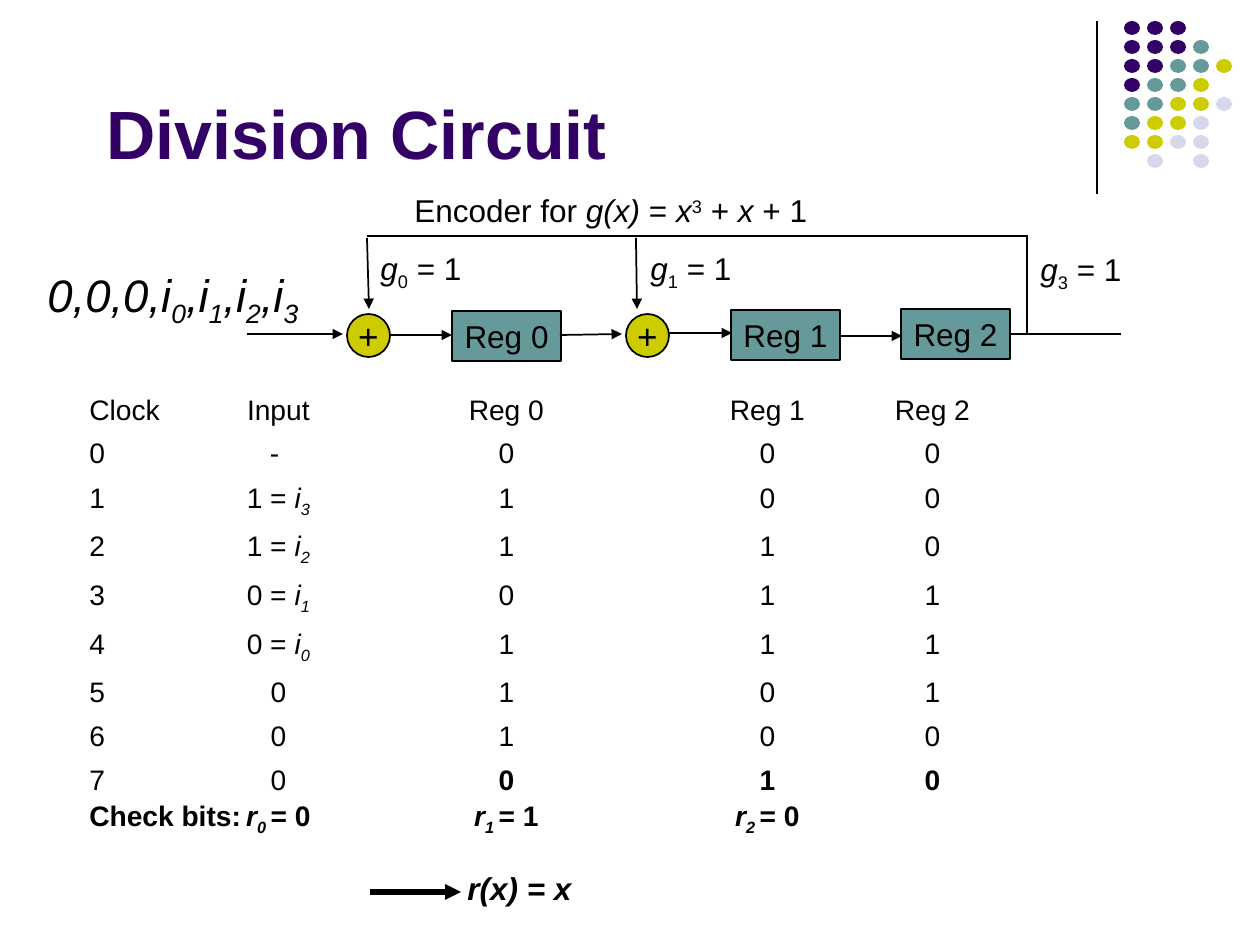
from typing import NamedTuple, Sequence

from lxml.etree import SubElement
from pptx import Presentation
from pptx.dml.color import RGBColor
from pptx.enum.shapes import MSO_CONNECTOR as Connector, MSO_SHAPE as Preset
from pptx.enum.text import MSO_ANCHOR as Anchor, PP_ALIGN as Align
from pptx.oxml.ns import qn
from pptx.util import Emu, Pt

PX_PER_INCH = 126
BLACK, PURPLE, TEAL, OLIVE, LILAC = "000000", "330066", "669999", "CCCC00", "D8D8EC"


class Run(NamedTuple):
    text: str
    italic: bool = False
    baseline: int = 0


class Box(NamedTuple):
    left: int
    top: int
    width: int
    height: int


class Wire(NamedTuple):
    x1: int
    y1: int
    x2: int
    y2: int
    arrow: bool = False
    weight: float = 1


class Part(NamedTuple):
    label: str
    preset: Preset
    box: Box
    fill: str
    size: int


class Row(NamedTuple):
    runs: Sequence[Run]
    bold: bool = False
    space: float = 4.8


def px(length: int) -> Emu:
    return Emu(round(length * 914400 / PX_PER_INCH))


def color(code: str) -> RGBColor:
    return RGBColor.from_string(code)


def indexed(letter: str, index: str, italic_index: bool = True) -> list[Run]:
    return [Run(letter, True), Run(index, italic_index, -25000)]


def write(paragraph, runs: Sequence[Run], size: float, bold: bool = False, ink: str = BLACK) -> None:
    font = paragraph.font
    font.name, font.size, font.bold = "Arial", Pt(size), bold
    font.color.rgb = color(ink)
    for part in runs:
        run = paragraph.add_run()
        run.text = part.text
        if part.italic:
            run.font.italic = True
        if part.baseline:
            run.font._element.set("baseline", str(part.baseline))


def add_frame(shapes, box: Box, wrap: bool = False):
    frame = shapes.add_textbox(*map(px, box)).text_frame
    frame.word_wrap = wrap
    return frame


def add_label(shapes, box: Box, runs: Sequence[Run], size: float, bold: bool = False) -> None:
    write(add_frame(shapes, box).paragraphs[0], runs, size, bold)


def add_wire(shapes, wire: Wire) -> None:
    line = shapes.add_connector(Connector.STRAIGHT, *map(px, wire[:4]))
    line.line.color.rgb = color(BLACK)
    line.line.width = Pt(wire.weight)
    if wire.arrow:
        SubElement(line.line._get_or_add_ln(), qn("a:tailEnd"), type="triangle")
    SubElement(line._element.spPr, qn("a:effectLst"))


def add_filled(shapes, preset: Preset, box: Box, fill: str):
    shape = shapes.add_shape(preset, *map(px, box))
    shape.shadow.inherit = False
    shape.fill.solid()
    shape.fill.fore_color.rgb = color(fill)
    shape.line.fill.background()
    return shape


def add_part(shapes, part: Part) -> None:
    shape = add_filled(shapes, part.preset, part.box, part.fill)
    shape.line.color.rgb = color(BLACK)
    shape.line.width = Pt(1)
    frame = shape.text_frame
    frame.word_wrap = False
    frame.vertical_anchor = Anchor.MIDDLE
    paragraph = frame.paragraphs[0]
    paragraph.alignment = Align.CENTER
    write(paragraph, [Run(part.label)], part.size)


def add_dots(shapes) -> None:
    fills = {"p": PURPLE, "t": TEAL, "o": OLIVE, "l": LILAC}
    pattern = ["ppp", "pppt", "pptto", "ptto", "ttool", "tool", "ooll", ".l.l"]
    for row, marks in enumerate(pattern):
        for column, mark in enumerate(marks):
            if mark in fills:
                box = Box(1124 + 23 * column, 21 + 19 * row, 16, 14)
                add_filled(shapes, Preset.OVAL, box, fills[mark])


def add_clock_rows(shapes, rows: Sequence[Row]) -> None:
    frame = add_frame(shapes, Box(77, 384, 1005, 465), wrap=True)
    for number, row in enumerate(rows):
        paragraph = frame.add_paragraph() if number else frame.paragraphs[0]
        paragraph.line_spacing = 1.05
        paragraph.space_before = Pt(row.space if number else 0)
        stops = SubElement(paragraph._p.get_or_add_pPr(), qn("a:tabLst"))
        for stop in (189, 417, 678, 843):
            SubElement(stops, qn("a:tab"), pos=str(px(stop)), algn="ctr")
        write(paragraph, row.runs, 16.1, row.bold)


def register(label: str, left: int, top: int) -> Part:
    return Part(label, Preset.RECTANGLE, Box(left, top, 109, 50), TEAL, 18)


def adder(left: int) -> Part:
    return Part("+", Preset.OVAL, Box(left, 314, 43, 43), OLIVE, 20)


def input_row(clock: int, bit: int, index: int, state: str) -> Row:
    return Row([Run(f"{clock}\t{bit} = "), *indexed("i", str(index)), Run(f"\t{state}")])


PARTS = [register("Reg 0", 452, 311), register("Reg 1", 731, 310),
         register("Reg 2", 901, 309), adder(347), adder(626)]
WIRES = [
    Wire(1097, 21, 1097, 194, weight=0.75),
    Wire(247, 334, 343, 334, True),
    Wire(389, 335, 452, 335, True),
    Wire(560, 335, 622, 334, True),
    Wire(669, 333, 732, 333, True),
    Wire(839, 336, 902, 336, True),
    Wire(1010, 334, 1121, 334),
    Wire(1027, 333, 1027, 235),
    Wire(1027, 236, 367, 236),
    Wire(367, 238, 369, 309, True),
    Wire(636, 238, 637, 309, True),
    Wire(370, 892, 461, 892, True, 3),
]
ROWS = [
    Row([Run("Clock\tInput\tReg 0\tReg 1\tReg 2")]),
    Row([Run("0\t- \t0\t0\t0")]),
    input_row(1, 1, 3, "1\t0\t0"),
    input_row(2, 1, 2, "1\t1\t0"),
    input_row(3, 0, 1, "0\t1\t1"),
    input_row(4, 0, 0, "1\t1\t1"),
    Row([Run("5\t0\t1\t0\t1")]),
    Row([Run("6\t0\t1\t0\t0")]),
    Row([Run("7\t0\t")]),
    Row([Run("Check bits:\t"), *indexed("r", "0 "), Run("= 0\t"), *indexed("r", "1 "),
         Run("= 1\t"), *indexed("r", "2 "), Run("= 0")], bold=True, space=0),
]
POLYNOMIAL = [Run("Encoder for "), Run("g(x)", True), Run(" = "), Run("x", True),
              Run("3", baseline=30000), Run(" + "), Run("x", True), Run(" + 1")]
INPUT_BITS = [Run("0,0,0,", True), *indexed("i", "0"),
              *(run for index in "123" for run in indexed(",i", index))]
TAPS = {"0": (368, 243), "1": (638, 243), "3": (1028, 244)}


def main() -> None:
    deck = Presentation()
    deck.slide_width, deck.slide_height = px(1260), px(945)
    shapes = deck.slides.add_slide(deck.slide_layouts[6]).shapes
    add_dots(shapes)
    title = add_frame(shapes, Box(94, 21, 1071, 158), wrap=True)
    title.vertical_anchor = Anchor.BOTTOM
    write(title.paragraphs[0], [Run("Division Circuit")], 39, True, PURPLE)
    add_clock_rows(shapes, ROWS)
    final_state = shapes[-1].text_frame.paragraphs[8].add_run()
    final_state.text = "0\t1\t0"
    final_state.font.bold = True
    for part in PARTS:
        add_part(shapes, part)
    for wire in WIRES:
        add_wire(shapes, wire)
    add_label(shapes, Box(402, 185, 418, 50), POLYNOMIAL, 18)
    add_label(shapes, Box(35, 261, 276, 76), INPUT_BITS, 26)
    for index, (left, top) in TAPS.items():
        add_label(shapes, Box(left, top, 106, 55), [*indexed("g", index, False), Run(" = 1")], 18)
    add_label(shapes, Box(455, 863, 130, 50), [Run("r(x) = x", True)], 18, True)
    deck.save("out.pptx")


if __name__ == "__main__":
    main()
